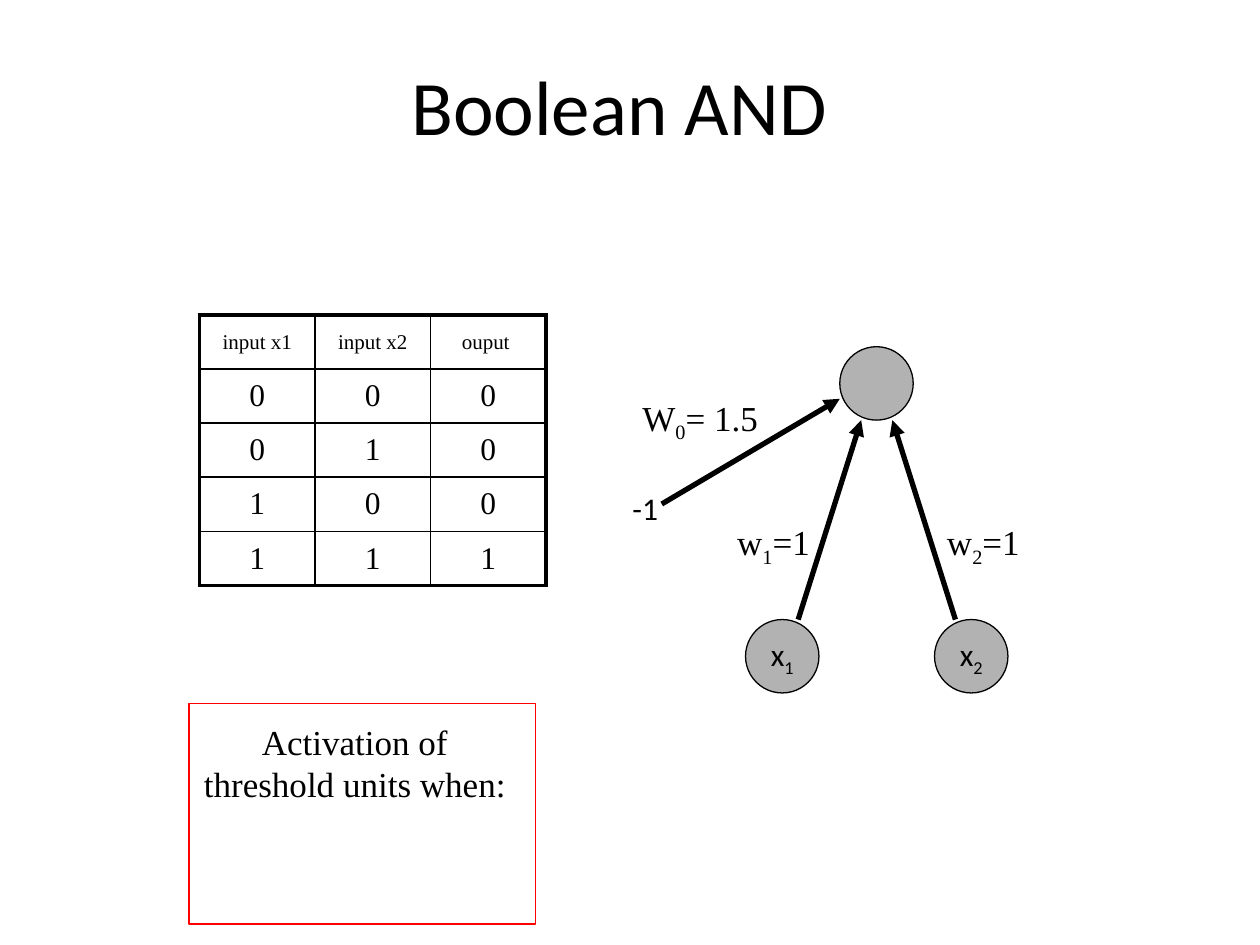
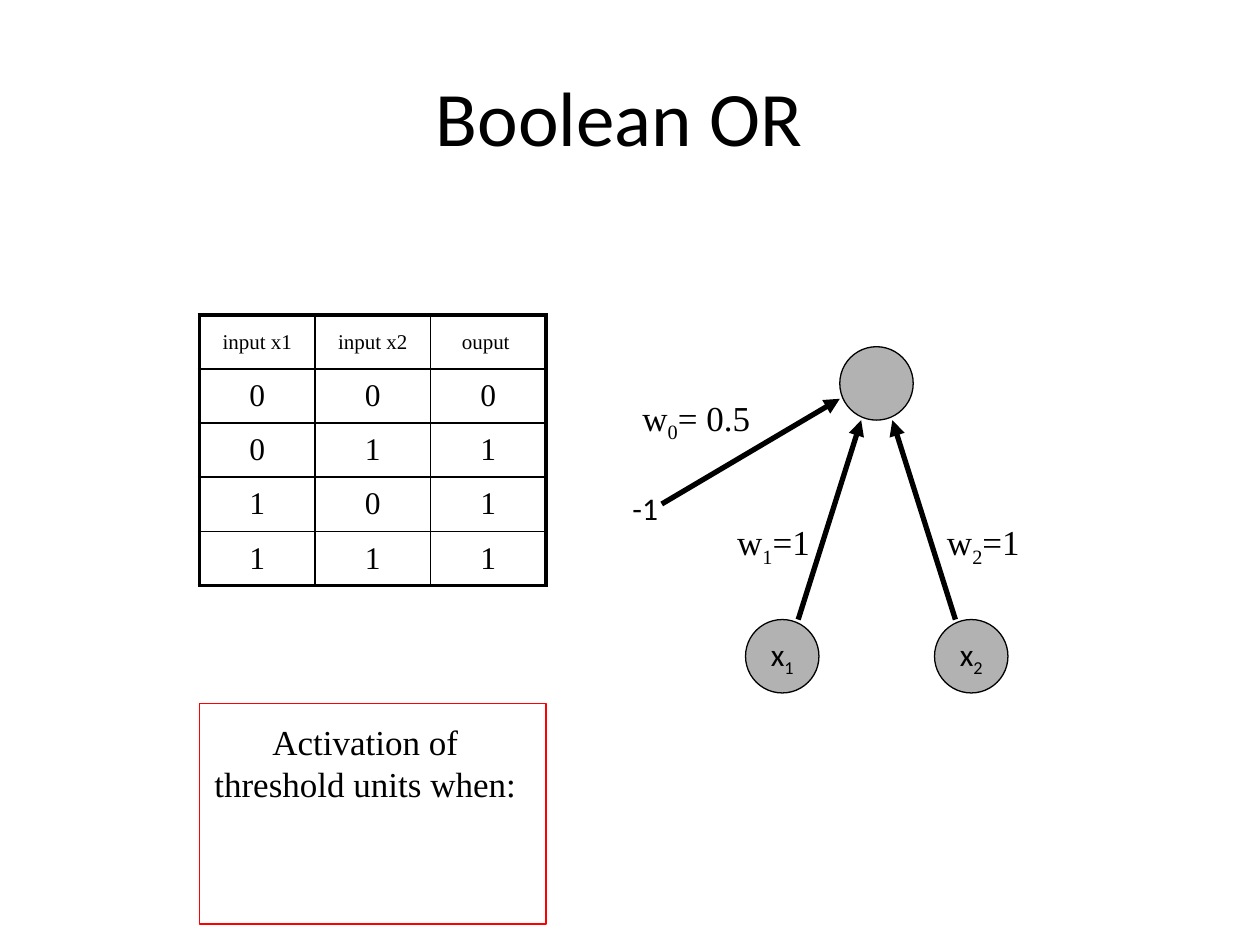
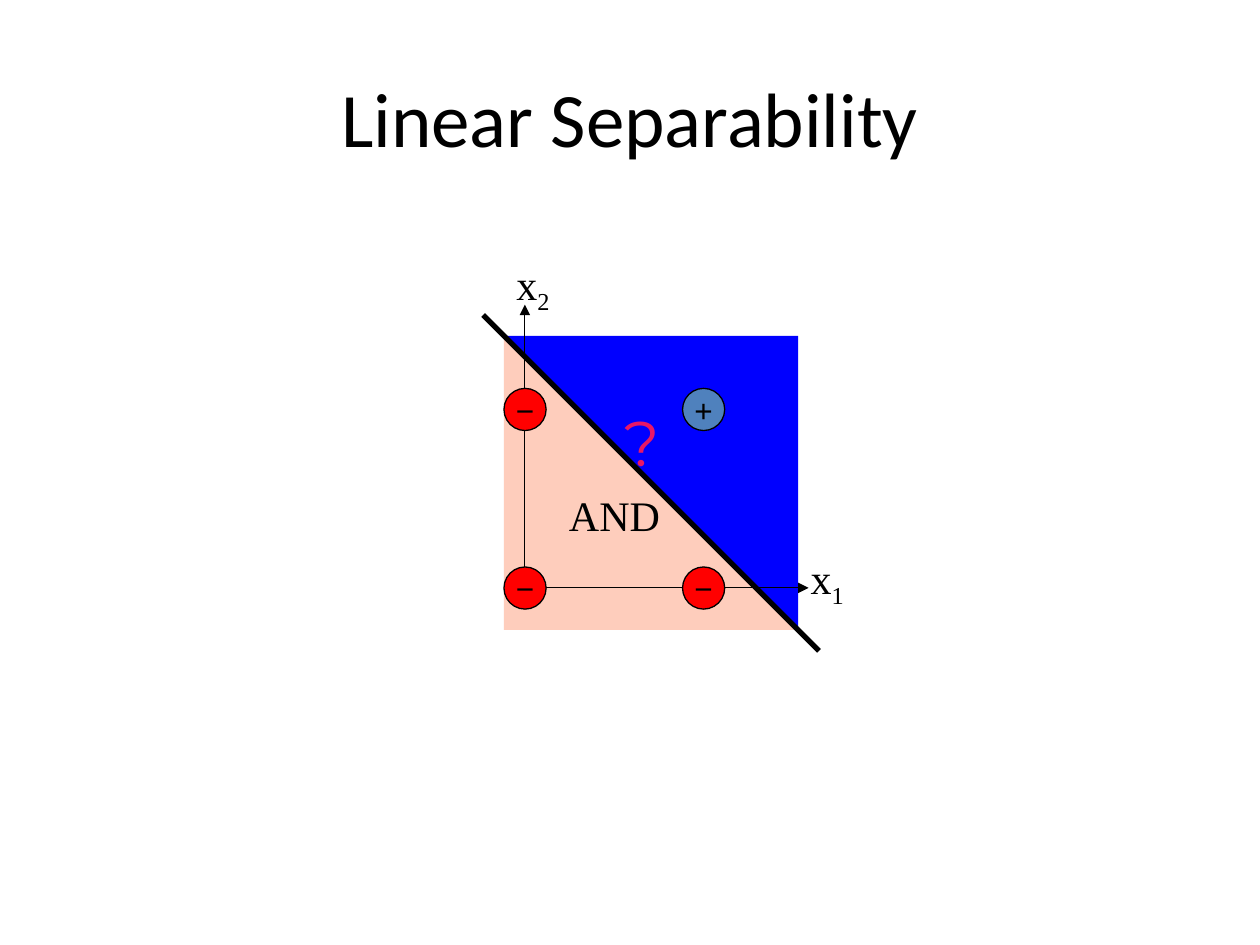
from pptx import Presentation
from pptx.dml.color import RGBColor
from pptx.enum.shapes import MSO_CONNECTOR, MSO_SHAPE
from pptx.enum.text import MSO_ANCHOR, PP_ALIGN
from pptx.oxml.ns import qn
from pptx.util import Cm, Pt
from lxml.etree import SubElement

BLACK = RGBColor(0x00, 0x00, 0x00)
GREY = RGBColor(0xB2, 0xB2, 0xB2)
RED = RGBColor(0xFF, 0x00, 0x00)
BLUE = RGBColor(0x00, 0x00, 0xFF)
STEEL = RGBColor(0x4F, 0x81, 0xBD)
PEACH = RGBColor(0xFE, 0xCD, 0xBC)
PINK = RGBColor(0xE8, 0x17, 0x66)

SANS, SERIF = "Calibri", "Times New Roman"
HEAD = {"name": SANS, "size": Pt(44)}
NODE = {"name": SANS, "size": Pt(18)}
SIGN = {"name": "Arial", "size": Pt(18)}
LABEL = {"name": SERIF, "size": Pt(20)}
AXIS = {"name": SERIF, "size": Pt(24)}
SMALL = {"name": SERIF, "size": Pt(12)}
DIGIT = {"name": SERIF, "size": Pt(18)}
QUERY = {"name": "Montserrat", "size": Pt(36)}
THIN, THICK = 0.75, 3
INNER, OUTER = 1, 2.25


def apply(target, values):
    """Set each attribute in values on the target."""
    for key, value in values.items():
        setattr(target, key, value)


class Deck:
    """Hold the presentation, the current slide and the shared style."""

    def __init__(self):
        """Start an empty 4:3 presentation."""
        self.prs = Presentation()
        apply(self.prs, {"slide_width": Cm(25.4), "slide_height": Cm(19.05)})
        self.slide = None

    def page(self, title, left=3.76, top=0.53, width=17.45):
        """Add a slide with its title."""
        self.slide = self.prs.slides.add_slide(self.prs.slide_layouts[6])
        self.text(title, left, top, width, 3.18, HEAD, wrap=True,
                  align=PP_ALIGN.CENTER, anchor=MSO_ANCHOR.MIDDLE)

    def put(self, frame, text, font, align=PP_ALIGN.LEFT, color=BLACK):
        """Fill a frame, with parts between bars as subscripts."""
        for row, line in enumerate(text.split("\n")):
            para = frame.add_paragraph() if row else frame.paragraphs[0]
            para.alignment = align
            for part, words in enumerate(line.split("|")):
                if words:
                    run = para.add_run()
                    run.text = words
                    apply(run.font, font)
                    run.font.color.rgb = color
                    if part % 2:
                        run._r.get_or_add_rPr().set("baseline", "-25000")

    def text(self, text, left, top, width, height, font, wrap=False,
             align=PP_ALIGN.LEFT, anchor=MSO_ANCHOR.TOP, color=BLACK, right=0.25):
        """Add a text box."""
        box = self.slide.shapes.add_textbox(Cm(left), Cm(top), Cm(width), Cm(height))
        apply(box.text_frame, {"word_wrap": wrap, "vertical_anchor": anchor,
                               "margin_right": Cm(right)})
        self.put(box.text_frame, text, font, align, color)

    def paint(self, shape, fill=None, line=None):
        """Set fill and outline of a shape, without shadow."""
        shape.shadow.inherit = False
        for part, color in ((shape.fill, fill), (shape.line.fill, line)):
            if color is None:
                part.background()
            else:
                part.solid()
                part.fore_color.rgb = color
        if line is not None:
            shape.line.width = Pt(THIN)

    def frame(self, left, top, width, height, color):
        """Add an unfilled rectangle."""
        rect = self.slide.shapes.add_shape(
            MSO_SHAPE.RECTANGLE, Cm(left), Cm(top), Cm(width), Cm(height))
        self.paint(rect, line=color)

    def disc(self, left, top, size, fill, text="", font=NODE):
        """Add a circle with centred text."""
        disc = self.slide.shapes.add_shape(
            MSO_SHAPE.OVAL, Cm(left), Cm(top), Cm(size), Cm(size))
        self.paint(disc, fill, BLACK)
        apply(disc.text_frame, {"word_wrap": False, "vertical_anchor": MSO_ANCHOR.MIDDLE})
        self.put(disc.text_frame, text, font, PP_ALIGN.CENTER)

    def line(self, start, end, width=THICK, arrow=True):
        """Add a straight line, with an arrowhead if asked."""
        line = self.slide.shapes.add_connector(
            MSO_CONNECTOR.STRAIGHT, *(Cm(value) for value in (*start, *end)))
        line.line.color.rgb = BLACK
        line.line.width = Pt(width)
        if arrow:
            SubElement(line.line._get_or_add_ln(), qn("a:tailEnd"), type="triangle")
        SubElement(line._element.spPr, qn("a:effectLst"))

    def region(self, points, fill):
        """Add a filled polygon."""
        first, *rest = [(Cm(x), Cm(y)) for x, y in points]
        shape = self.slide.shapes.build_freeform(*first)
        shape.add_line_segments(rest, close=True)
        self.paint(shape.convert_to_shape(), fill)

    def border(self, cell, sides):
        """Draw the cell borders from a dict of side and width."""
        props = cell._tc.get_or_add_tcPr()
        for side, width in sides.items():
            edge = SubElement(props, qn(f"a:ln{side}"), w=str(Pt(width)))
            fill = SubElement(edge, qn("a:solidFill"))
            SubElement(fill, qn("a:srgbClr"), val=str(BLACK))

    def table(self, rows, left, top, wide, high):
        """Add a ruled table with a heavier outer border."""
        down, across = len(rows), len(rows[0])
        table = self.slide.shapes.add_table(
            down, across, Cm(left), Cm(top), Cm(wide * across), Cm(high * down)).table
        apply(table, {"first_row": False, "horz_banding": False})
        for column in table.columns:
            column.width = Cm(wide)
        for r, row in enumerate(rows):
            table.rows[r].height = Cm(high)
            for c, value in enumerate(row):
                cell = table.cell(r, c)
                edges = {"L": c == 0, "R": c == across - 1, "T": r == 0, "B": r == down - 1}
                self.border(cell, {side: OUTER if rim else INNER
                                   for side, rim in edges.items()})
                cell.fill.background()
                cell.vertical_anchor = MSO_ANCHOR.MIDDLE
                self.put(cell.text_frame, value, DIGIT if r else SMALL, PP_ALIGN.CENTER)

    def gate(self, outs, bias, left):
        """Draw a truth table, its threshold unit and the note below."""
        pairs = ("00", "01", "10", "11")
        rows = [("input x1", "input x2", "ouput ")]
        rows += [(*pair, out) for pair, out in zip(pairs, outs)]
        self.table(rows, 4.02, 6.35, 2.33, 1.09)
        self.disc(16.93, 6.99, 1.48, GREY)
        inputs = ((1, 15.03, 14.61, 16.09, 17.36), (2, 18.84, 18.84, 19.26, 17.99))
        for index, node, label, start, end in inputs:
            self.line((start, 12.49), (end, 8.47))
            self.disc(node, 12.49, 1.48, GREY, f"x|{index}|")
            self.text(f"w|{index}|=1", label, 10.37, 2.01, 1.08, LABEL)
        self.text(bias, 12.7, 7.86, 2.9, 1.08, LABEL)
        self.line((13.34, 10.16), (16.93, 8.04))
        self.text("-1", 12.5, 9.74, 1.22, 1.27, NODE)
        self.text("Activation of\nthreshold units when:", left, 14.39, 6.99, 2.79,
                  LABEL, wrap=True, align=PP_ALIGN.CENTER, right=0.55)
        self.frame(left, 14.18, 6.99, 4.45, RED)

    def plane(self):
        """Draw the input plane split by a line."""
        left, top, right, base = 10.16, 6.77, 16.09, 12.7
        self.region([(left, top), (right, top), (right, base)], BLUE)
        self.region([(left, top), (right, base), (left, base)], PEACH)
        self.line((9.74, 6.35), (16.51, 13.12), arrow=False)
        self.text("x|1|", right, 11.01, 1.22, 1.27, AXIS)
        self.text("x|2|", left, 5.08, 1.22, 1.27, AXIS)
        for tip in ((16.3, 11.85), (10.58, 6.14)):
            self.line((10.58, 11.85), tip, THIN)
        for x in (0, 1):
            for y in (0, 1):
                fill, sign = (STEEL, "+") if x and y else (RED, "−")
                self.disc(left + 3.6 * x, 11.43 - 3.6 * y, 0.85, fill, sign, SIGN)
        self.text("AND", 11.22, 9.74, 2.36, 1.27, AXIS)
        self.text("?", 12.33, 8.02, 0.76, 1.8, QUERY, align=PP_ALIGN.CENTER, color=PINK)


def main():
    """Build the three slides."""
    deck = Deck()
    deck.page("Boolean AND")
    deck.gate("0001", "W|0|= 1.5", 3.81)
    deck.page("Boolean OR", top=0.74)
    deck.gate("0111", "w|0|= 0.5", 4.02)
    deck.page("Linear Separability", 1.27, 0.76, 22.86)
    deck.plane()
    deck.prs.save("out.pptx")


if __name__ == "__main__":
    main()
